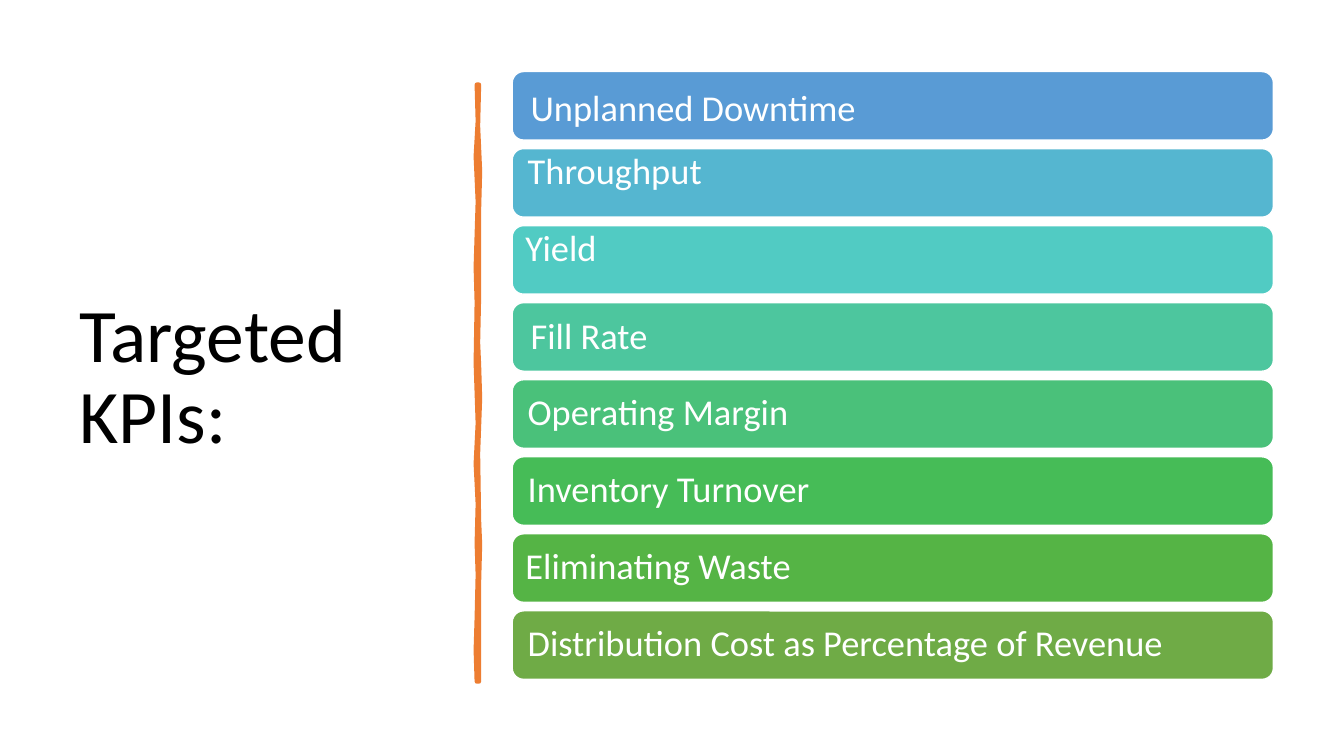
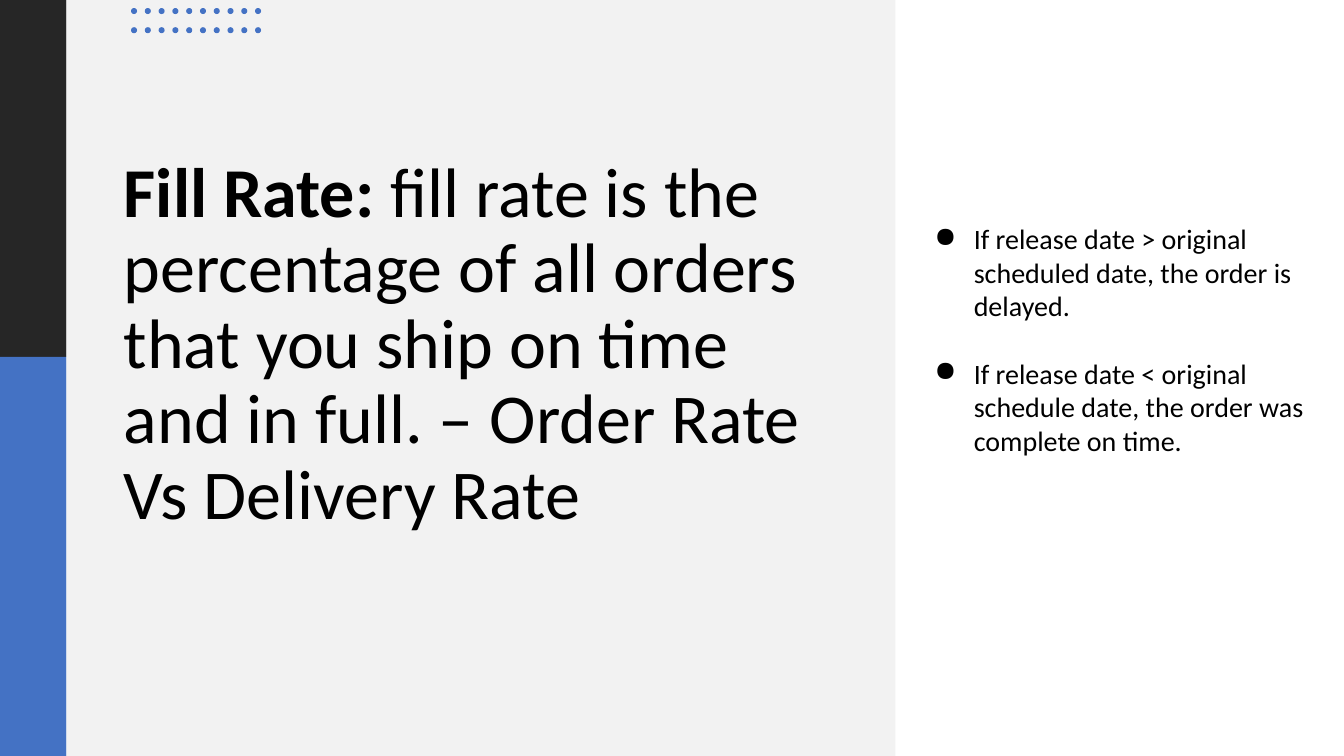
import pptx
import pptx.util
import pptx.dml.color
import pptx.enum.shapes
import pptx.enum.text
import lxml.etree

Inches = pptx.util.Inches
Pt = pptx.util.Pt
rgb = pptx.dml.color.RGBColor.from_string
SHAPES = pptx.enum.shapes.MSO_SHAPE
ANCHOR = pptx.enum.text.MSO_ANCHOR
ALIGN = pptx.enum.text.PP_ALIGN

FONT = "Calibri"
BLACK, WHITE, BLUE, ORANGE = "000000", "FFFFFF", "4472C4", "ED7D31"
DARK, PALE = "262626", "F2F2F2"
TITLE_INSETS = (0.1, 0.05, 0.1, 0.05)


def paint(shape, fill, line=None, width=1):
    shape.shadow.inherit = False
    shape.fill.solid()
    shape.fill.fore_color.rgb = rgb(fill)
    if line:
        shape.line.color.rgb = rgb(line)
        shape.line.width = Pt(width)
    else:
        shape.line.fill.background()


def write(frame, paragraphs, size, color, insets, anchor=ANCHOR.MIDDLE, spacing=0.9):
    """Each paragraph is a list of (text, bold) runs."""
    left, top, right, bottom = map(Inches, insets)
    frame_format = {"word_wrap": True, "vertical_anchor": anchor, "margin_left": left,
                    "margin_top": top, "margin_right": right, "margin_bottom": bottom}
    for key, value in frame_format.items():
        setattr(frame, key, value)
    for index, runs in enumerate(paragraphs):
        paragraph = frame.add_paragraph() if index else frame.paragraphs[0]
        paragraph.alignment = ALIGN.LEFT
        paragraph.line_spacing = spacing
        for text, bold in runs:
            run = paragraph.add_run()
            run.text = text
            run.font.color.rgb = rgb(color)
            for key, value in {"name": FONT, "size": Pt(size), "bold": bold}.items():
                setattr(run.font, key, value)


deck = pptx.Presentation()
deck.slide_width, deck.slide_height = Inches(13.33), Inches(7.5)
blank = deck.slide_layouts[6]

# Slide 1: targeted KPIs
kpi_slide = deck.slides.add_slide(blank)
kpi_title = kpi_slide.shapes.add_textbox(Inches(0.69), Inches(0.7), Inches(3.74), Inches(6.11))
write(kpi_title.text_frame, [[("Targeted KPIs:", False)]], 54, BLACK, TITLE_INSETS)

# Hand-drawn divider: right edge downwards, left edge upwards
divider_edge = [
    (4.75, 0.84), (4.74, 1.25), (4.76, 1.7), (4.75, 2.08), (4.75, 2.94), (4.74, 3.4),
    (4.75, 3.62), (4.76, 3.95), (4.74, 4.5), (4.75, 5.16), (4.76, 5.4), (4.75, 5.78),
    (4.75, 6.76), (4.73, 6.76), (4.72, 6.45), (4.73, 6.13), (4.74, 5.7), (4.73, 5.39),
    (4.74, 5.0), (4.72, 4.6), (4.74, 4.2), (4.72, 3.6), (4.73, 3.0), (4.72, 2.65),
    (4.74, 2.0), (4.72, 1.55), (4.74, 1.2), (4.73, 0.84)]
points = [(Inches(x), Inches(y)) for x, y in divider_edge]
outline = kpi_slide.shapes.build_freeform(*points[0])
outline.add_line_segments(points[1:], close=True)
paint(outline.convert_to_shape(), ORANGE, ORANGE, 3.25)

# KPI bars: name, colour, text insets (left, top, bottom)
kpis = [
    ("Unplanned Downtime", "599BD5", 0.15, 0.08, 0),
    ("Throughput", "55B6D0", 0.12, 0, 0.21),
    ("Yield", "51CBC3", 0.1, 0, 0.21),
    ("Fill Rate", "4DC69E", 0.15, 0.02, 0),
    ("Operating Margin", "4AC17A", 0.12, 0, 0),
    ("Inventory Turnover", "46BC57", 0.12, 0, 0),
    ("Eliminating Waste", "55B445", 0.1, 0, 0),
    ("Distribution Cost as Percentage of Revenue", "6FAB46", 0.12, 0, 0),
]
for row, (kpi, color, left, top, bottom) in enumerate(kpis):
    bar = kpi_slide.shapes.add_shape(SHAPES.ROUNDED_RECTANGLE, Inches(5.08),
                                     Inches(0.71 + row * 5.35 / 7), Inches(7.55), Inches(0.68))
    paint(bar, color, WHITE)
    write(bar.text_frame, [[(kpi, False)]], 26, WHITE, (left, top, 0.1, bottom))

# Slide 2: fill rate
rate_slide = deck.slides.add_slide(blank)
panels = [(0, 0, 0.66, 3.54, DARK), (0, 3.54, 0.66, 3.96, BLUE), (0.66, 0, 8.22, 7.5, PALE)]
dots = [(1.3 + column * 1.23 / 9, y, 0.06, 0.06, BLUE)
        for column in range(10) for y in (0.08, 0.27)]
for kind, blocks in ((SHAPES.RECTANGLE, panels), (SHAPES.OVAL, dots)):
    for *place, color in blocks:
        paint(rate_slide.shapes.add_shape(kind, *map(Inches, place)), color)

# Definition
definition = rate_slide.shapes.add_textbox(Inches(1.13), Inches(0.88), Inches(7.23), Inches(5.1))
write(definition.text_frame,
      [[("Fill Rate: ", True),
        ("fill rate is the percentage of all orders that you ship on time and in full. "
         "– Order Rate Vs Delivery Rate", False)]],
      50, BLACK, TITLE_INSETS)

# Rules for on-time orders
rules = rate_slide.shapes.add_textbox(Inches(9.06), Inches(2.1), Inches(4.13), Inches(2.56))
write(rules.text_frame,
      [[("If release date > original scheduled date, the order is delayed.", False)],
       [("If release date < original schedule date, the order was complete on time.", False)]],
      20, BLACK, (0.1, 0.1, 0.1, 0.1), ANCHOR.TOP, 1.0)
rules.text_frame.paragraphs[1].space_before = Pt(24)
for rule in rules.text_frame.paragraphs:
    properties = rule._p.get_or_add_pPr()
    properties.set("marL", str(Inches(0.5)))
    properties.set("indent", str(Inches(-0.39)))
    bullet = lxml.etree.SubElement(properties, pptx.oxml.ns.qn("a:buChar"))
    bullet.set("char", "●")

deck.save("out.pptx")
